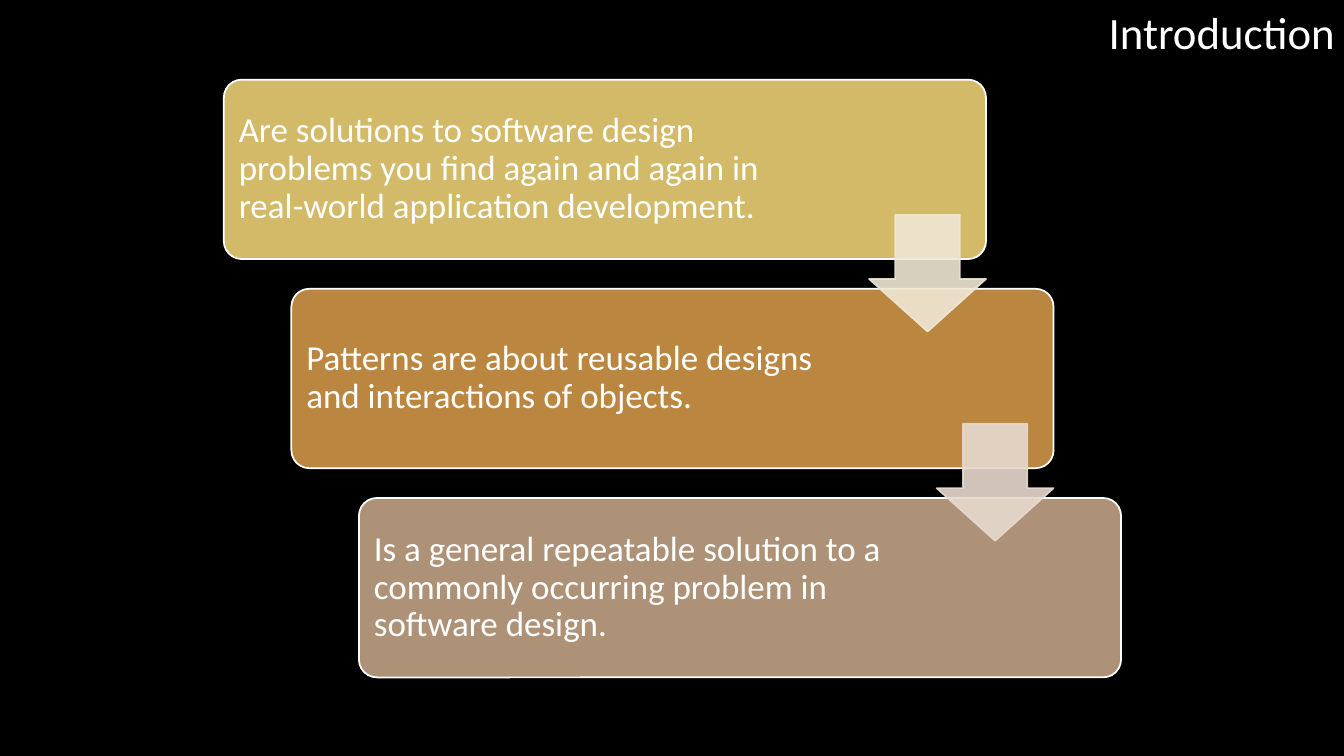
import pptx
import pptx.util
import pptx.dml.color
import pptx.enum.shapes
import pptx.enum.text
import pptx.oxml.ns
from lxml import etree

Inches = pptx.util.Inches
Pt = pptx.util.Pt
RGBColor = pptx.dml.color.RGBColor
Shape = pptx.enum.shapes.MSO_SHAPE
Align = pptx.enum.text.PP_ALIGN

BLACK = RGBColor(0x00, 0x00, 0x00)
WHITE = RGBColor(0xFF, 0xFF, 0xFF)
GOLD = RGBColor(0xD3, 0xBA, 0x68)
OCHRE = RGBColor(0xBB, 0x86, 0x40)
TAUPE = RGBColor(0xAD, 0x92, 0x77)
CREAM = RGBColor(0xEF, 0xE7, 0xD4)
BLUSH = RGBColor(0xE7, 0xD9, 0xCF)

CARD_LEFT, CARD_TOP = 2.22, 0.79
CARD_WIDTH, CARD_HEIGHT = 7.56, 1.78
STEP_X, STEP_Y = 0.67, 2.075
TEXT_INSET = 0.05
ARROW_SIZE = 1.16

CARDS = [
    (GOLD, "Are solutions to software design problems you find again and "
           "again in real-world application development."),
    (OCHRE, "Patterns are about reusable designs and interactions of objects."),
    (TAUPE, "Is a general repeatable solution to a commonly occurring "
            "problem in software design."),
]


def add_filled_shape(kind, left, top, width, height, fill, line):
    shape = page.shapes.add_shape(
        kind, Inches(left), Inches(top), Inches(width), Inches(height))
    shape.shadow.inherit = False
    shape.fill.solid()
    shape.fill.fore_color.rgb = fill
    shape.line.color.rgb = line
    shape.line.width = Pt(1.25)
    return shape


def add_text(left, top, width, height, text, size):
    box = page.shapes.add_textbox(
        Inches(left), Inches(top), Inches(width), Inches(height))
    para = box.text_frame.paragraphs[0]
    span = para.add_run()
    span.text = text
    span.font.name = "Calibri"
    span.font.size = Pt(size)
    span.font.color.rgb = WHITE
    return box.text_frame


deck = pptx.Presentation()
deck.slide_width = Inches(13.33)
deck.slide_height = Inches(7.5)
page = deck.slides.add_slide(deck.slide_layouts[6])
page.background.fill.solid()
page.background.fill.fore_color.rgb = BLACK

# Title
title = add_text(10.74, 0, 2.6, 0.64, "Introduction", 32)
title.word_wrap = False
title.auto_size = pptx.enum.text.MSO_AUTO_SIZE.SHAPE_TO_FIT_TEXT
title.paragraphs[0].alignment = Align.RIGHT

# Staggered cards
for index, (color, statement) in enumerate(CARDS):
    left = CARD_LEFT + index * STEP_X
    top = CARD_TOP + index * STEP_Y
    card = add_filled_shape(Shape.ROUNDED_RECTANGLE, left, top,
                            CARD_WIDTH, CARD_HEIGHT, color, WHITE)
    card.adjustments[0] = 0.1

    frame = add_text(left + TEXT_INSET, top + TEXT_INSET, 5.63,
                     CARD_HEIGHT - 2 * TEXT_INSET, statement, 25)
    frame.word_wrap = True
    frame.vertical_anchor = pptx.enum.text.MSO_ANCHOR.MIDDLE
    frame.margin_left = frame.margin_right = Inches(0.1)
    frame.margin_top = frame.margin_bottom = Inches(0.1)
    frame.paragraphs[0].line_spacing = 0.9

# Translucent arrows from each card to the next, flush with the card's right edge
for index, color in enumerate([CREAM, BLUSH]):
    left = CARD_LEFT + CARD_WIDTH - ARROW_SIZE + index * STEP_X
    top = 2.13 + index * STEP_Y
    arrow = add_filled_shape(Shape.DOWN_ARROW, left, top,
                             ARROW_SIZE, ARROW_SIZE, color, color)
    arrow.adjustments[0] = 0.55
    arrow.adjustments[1] = 0.45
    for tint in arrow.element.spPr.iter(pptx.oxml.ns.qn("a:srgbClr")):
        etree.SubElement(tint, pptx.oxml.ns.qn("a:alpha"), val="90000")

deck.save("out.pptx")
